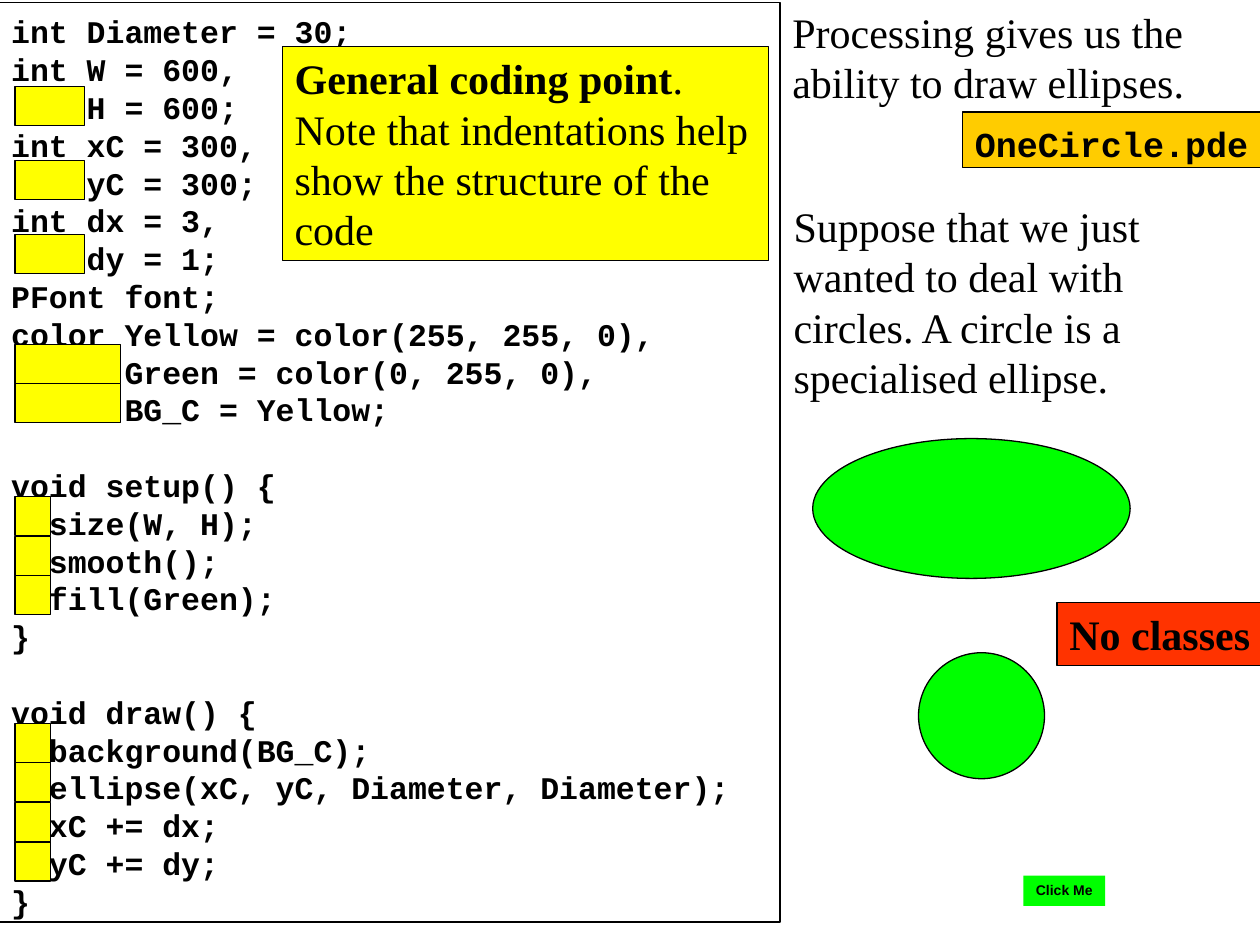
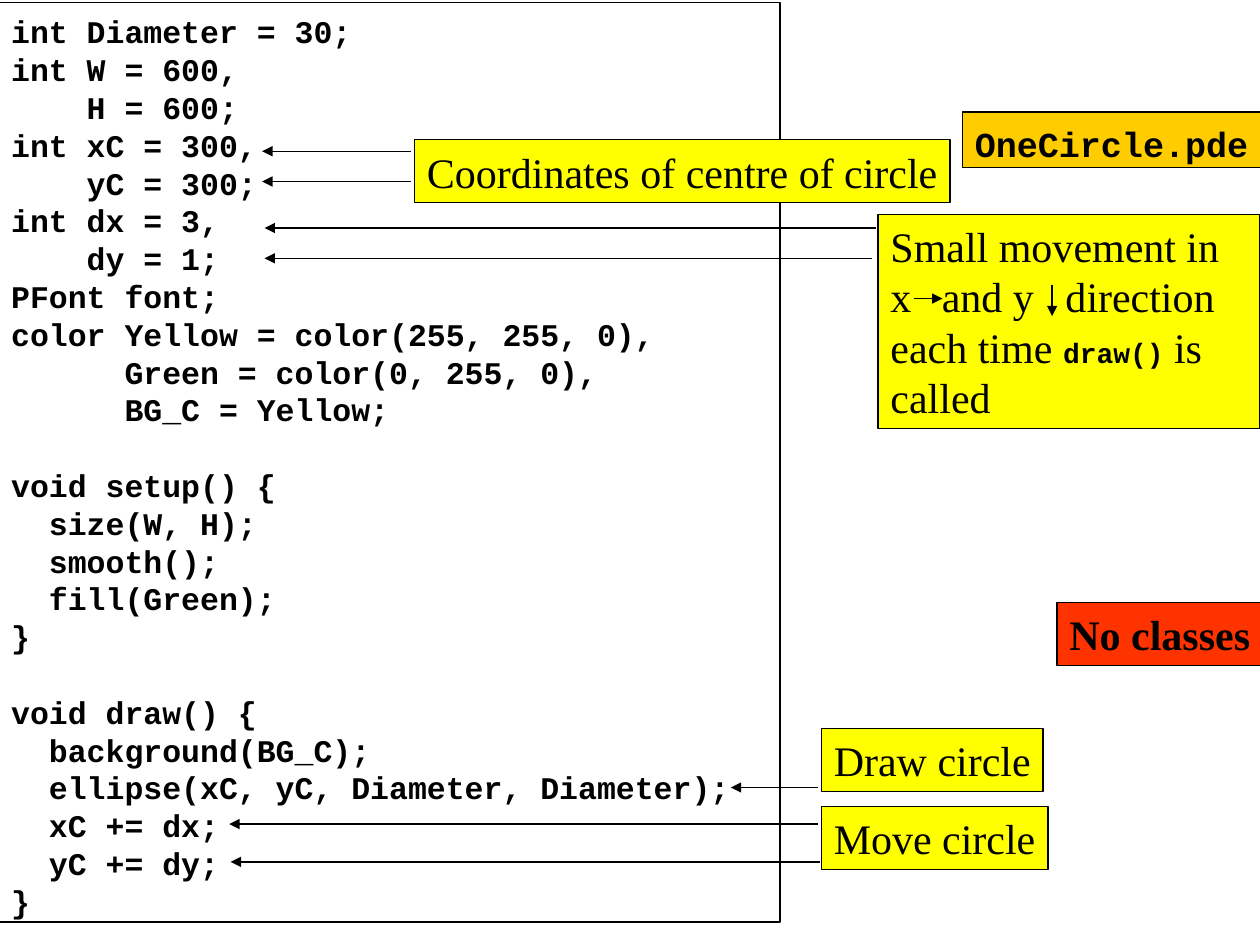
from lxml.etree import SubElement
from pptx import Presentation
from pptx.dml.color import RGBColor
from pptx.enum.shapes import MSO_CONNECTOR as CONN, MSO_SHAPE as SHAPE
from pptx.enum.text import MSO_ANCHOR as ANCHOR, PP_ALIGN as ALIGN
from pptx.oxml.ns import qn
from pptx.util import Pt

BLACK, WHITE, YELLOW, GREEN = "000000", "FFFFFF", "FFFF00", "00FF00"
ORANGE, RED = "FFCC00", "FF3300"
SERIF, MONO, SANS = "Times New Roman", "Courier New", "Arial"
CHAR_W = 10.8
CODE = """int Diameter = 30;
int W = 600,
    H = 600;
int xC = 300,
    yC = 300;
int dx = 3,
    dy = 1;
PFont font;
color Yellow = color(255, 255, 0),
      Green = color(0, 255, 0),
      BG_C = Yellow;

void setup() {
  size(W, H);
  smooth();
  fill(Green);
}

void draw() {
  background(BG_C);
  ellipse(xC, yC, Diameter, Diameter);
  xC += dx;
  yC += dy;
}"""


def color(value):
    return RGBColor.from_string(value)


class Deck:
    """Holds the style, the presentation and the current slide."""

    def __init__(self):
        self.prs = Presentation()
        self.prs.slide_width, self.prs.slide_height = Pt(720), Pt(540)

    def new_slide(self):
        """Add a blank slide with the code panel."""
        self.s = self.prs.slides.add_slide(self.prs.slide_layouts[6])
        self.code_panel()

    def style(self, font, name, size, bold):
        """Give a font its face, size and weight."""
        font.name, font.size, font.bold = name, Pt(size), bold
        font.color.rgb = color(BLACK)

    def shape(self, kind, x, y, w, h, fill, line=BLACK):
        """Draw a filled preset shape."""
        sp = self.s.shapes.add_shape(kind, Pt(x), Pt(y), Pt(w), Pt(h))
        sp.shadow.inherit = False
        sp.fill.solid()
        sp.fill.fore_color.rgb = color(fill)
        if line:
            sp.line.color.rgb = color(line)
            sp.line.width = Pt(0.75)
        else:
            sp.line.fill.background()
        return sp

    def set_text(self, sp, paragraphs, name=SERIF, size=24, bold=False, wrap=True):
        """Fill a shape with paragraphs, each a string or a list of styled runs."""
        tf = sp.text_frame
        tf.word_wrap = wrap
        tf.vertical_anchor = ANCHOR.TOP
        tf.margin_left = tf.margin_right = Pt(7.2)
        tf.margin_top = Pt(3.6 + (0.12 * size if name == MONO else 0))
        tf.margin_bottom = Pt(0)
        for i, content in enumerate(paragraphs):
            p = tf.paragraphs[0] if i == 0 else tf.add_paragraph()
            p.alignment = ALIGN.LEFT
            p.line_spacing = Pt(1.2 * size)
            if isinstance(content, str):
                p.text = content
                self.style(p.font, name, size, bold)
                continue
            for text, *look in content:
                r = p.add_run()
                r.text = text
                self.style(r.font, *(look or (name, size, bold)))
        return tf

    def text(self, x, y, w, h, content):
        """Place plain wrapped text."""
        self.set_text(self.s.shapes.add_textbox(Pt(x), Pt(y), Pt(w), Pt(h)), [content])

    def label(self, x, y, w, h, content, fill=YELLOW, line=BLACK, **look):
        """Place a one-line label in a coloured box."""
        sp = self.shape(SHAPE.RECTANGLE, x, y, w, h, fill, line)
        self.set_text(sp, [content], wrap=False, **look)

    def note(self, x, y, w, h, paragraphs):
        """Place a yellow note with wrapped text."""
        sp = self.shape(SHAPE.RECTANGLE, x, y, w, h, YELLOW)
        return self.set_text(sp, paragraphs)

    def code_panel(self):
        """Place the program listing, indented by its leading spaces."""
        sp = self.shape(SHAPE.RECTANGLE, -0.7, 1.4, 446.4, 525.6, WHITE)
        lines = CODE.split("\n")
        shown = [(a, b) for a, b in zip([None] + lines, lines) if b]
        tf = self.set_text(sp, [b.strip() for _, b in shown], MONO, 18, True)
        for p, (before, line) in zip(tf.paragraphs, shown):
            indent = len(line) - len(line.lstrip())
            p._p.get_or_add_pPr().set("marL", str(Pt(indent * CHAR_W)))
            if before == "":
                p.space_before = Pt(21.6)

    def tags(self):
        """Place the file name and the class remark."""
        self.label(550, 64, 170.6, 31.7, "OneCircle.pde", ORANGE,
                   name=MONO, size=20, bold=True)
        self.label(604, 344.2, 117.4, 36, "No classes", RED, bold=True)

    def tab_stops(self, p, *stops):
        """Set left tab stops on a paragraph."""
        tabs = SubElement(p._p.get_or_add_pPr(), qn("a:tabLst"))
        for stop in stops:
            SubElement(tabs, qn("a:tab"), pos=str(Pt(stop)), algn="l")

    def arrow(self, x1, y1, x2, y2):
        """Draw a line with a triangle at its end."""
        c = self.s.shapes.add_connector(CONN.STRAIGHT, Pt(x1), Pt(y1), Pt(x2), Pt(y2))
        c.line.color.rgb = color(BLACK)
        c.line.width = Pt(0.75)
        props = c._element.spPr
        SubElement(props.get_or_add_ln(), qn("a:tailEnd"), type="triangle")
        SubElement(props, qn("a:effectLst"))


def indentation_slide(d):
    """Show the indentations and the two kinds of ellipse."""
    d.new_slide()
    d.text(445.7, 0, 274.3, 64.8, "Processing gives us the ability to draw ellipses.")
    d.text(446.4, 110.9, 273.6, 122.4,
           "Suppose that we just wanted to deal with circles. "
           "A circle is a specialised ellipse.")
    d.shape(SHAPE.OVAL, 464.4, 250.6, 181.4, 79.9, GREEN)
    d.shape(SHAPE.OVAL, 524.9, 373, 72, 72, GREEN)
    d.label(584.8, 500.4, 46.8, 17.3, "Click Me", GREEN, None,
            name=SANS, size=8, bold=True)
    d.tags()
    d.note(161.3, 26.6, 277.9, 122.4, [
        [("General coding point", SERIF, 24, True), (".",)],
        "Note that indentations help show the structure of the code"])
    for top, width, count, pitch in ((49.5, 39.6, 3, 42.2), (196.8, 60.5, 2, 22.3),
                                     (283.9, 20.2, 3, 22.5), (413.3, 20.2, 4, 22.6)):
        for i in range(count):
            d.shape(SHAPE.RECTANGLE, 8.6, top + i * pitch, width, 22.3, YELLOW)


def explanation_slide(d):
    """Explain the lines of the program with notes and arrows."""
    d.new_slide()
    d.label(236.9, 79.9, 306, 36, "Coordinates of centre of circle")
    tf = d.note(501.8, 122.4, 218.2, 122.4, [
        "Small movement in",
        [("x\tand y\tdirection each time ",), ("draw()", MONO, 16, True),
         (" is called",)]])
    d.tab_stops(tf.paragraphs[1], 29.3, 100)
    d.label(469.4, 416.2, 126.7, 36, "Draw circle")
    d.label(469.4, 460.8, 129.6, 36, "Move circle")
    for start, end, y in ((234.7, 149.8, 86.4), (234.7, 149.8, 103.7),
                          (500.4, 151.2, 130.3), (498.2, 151.2, 147.6),
                          (467.3, 417.6, 450), (467.3, 131, 470.9),
                          (468.7, 131.8, 492.5)):
        d.arrow(start, y, end, y)
    d.arrow(522, 170.6, 538.6, 170.6)
    d.arrow(601.2, 162.7, 601.2, 180.7)
    d.tags()


def main():
    d = Deck()
    indentation_slide(d)
    explanation_slide(d)
    d.prs.save("out.pptx")


if __name__ == "__main__":
    main()
